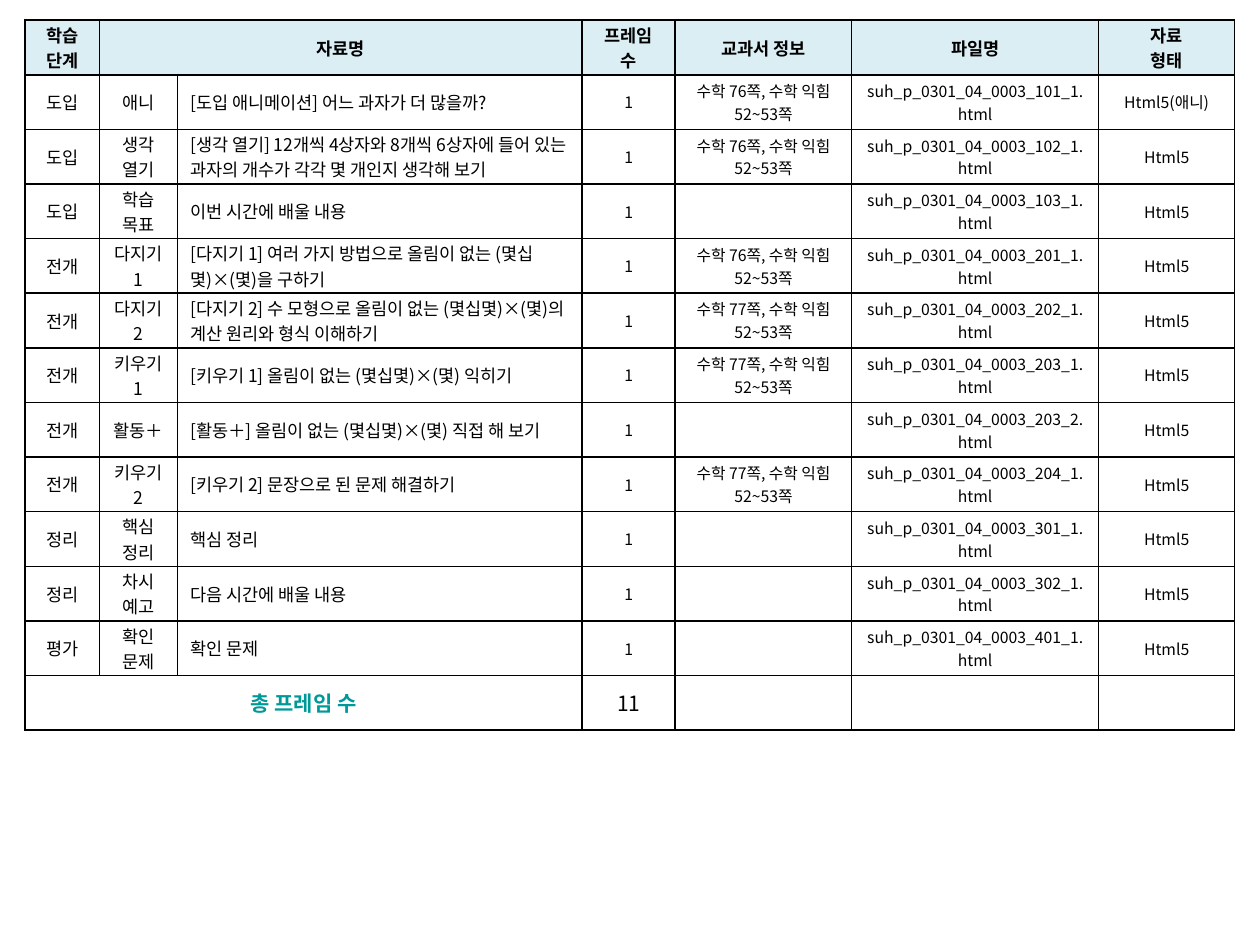
"""Build a lesson plan slide: one table of learning files with a total row."""
from dataclasses import dataclass

from lxml.etree import SubElement
from pptx import Presentation
from pptx.dml.color import RGBColor
from pptx.enum.text import MSO_ANCHOR, PP_ALIGN
from pptx.oxml.ns import qn
from pptx.util import Inches, Pt


@dataclass(frozen=True)
class Theme:
    font: str = "Noto Sans CJK KR"
    ink: str = "000000"
    head: str = "DBEEF4"
    paper: str = "FFFFFF"
    teal: str = "009999"
    small: int = 9
    body: int = 10
    total: int = 12
    line: int = 1


theme = Theme()


def add_lines(cell):
    props = cell._tc.get_or_add_tcPr()
    for side in ("a:lnL", "a:lnR", "a:lnT", "a:lnB"):
        line = SubElement(props, qn(side), w=str(Pt(theme.line)))
        fill = SubElement(line, qn("a:solidFill"))
        SubElement(fill, qn("a:srgbClr"), val=theme.ink)


def fill_cell(cell, text, size, bold, ink, back, align):
    add_lines(cell)
    cell.fill.solid()
    cell.fill.fore_color.rgb = RGBColor.from_string(back)
    cell.vertical_anchor = MSO_ANCHOR.MIDDLE
    cell.margin_left = cell.margin_right = Inches(0.1)
    cell.margin_top = cell.margin_bottom = Inches(0.01)
    cell.text = text
    for para in cell.text_frame.paragraphs:
        para.alignment = align
        para.font.size = Pt(size)
        para.font.bold = bold
        para.font.color.rgb = RGBColor.from_string(ink)
        para.font.name = theme.font
        base = para._p.pPr.find(qn("a:defRPr"))
        SubElement(base, qn("a:ea"), typeface=theme.font)


heads = ["학습 단계", "자료명", "", "프레임 수", "교과서 정보", "파일명", "자료\n형태"]
steps = [
    ("도입", "애니", "[도입 애니메이션] 어느 과자가 더 많을까?", 76, "101_1"),
    ("도입", "생각 열기",
     "[생각 열기] 12개씩 4상자와 8개씩 6상자에 들어 있는 과자의 개수가 각각 몇 개인지 생각해 보기",
     76, "102_1"),
    ("도입", "학습 목표", "이번 시간에 배울 내용", None, "103_1"),
    ("전개", "다지기 1", "[다지기 1] 여러 가지 방법으로 올림이 없는 (몇십몇)×(몇)을 구하기",
     76, "201_1"),
    ("전개", "다지기 2",
     "[다지기 2] 수 모형으로 올림이 없는 (몇십몇)×(몇)의 계산 원리와 형식 이해하기",
     77, "202_1"),
    ("전개", "키우기1", "[키우기 1] 올림이 없는 (몇십몇)×(몇) 익히기", 77, "203_1"),
    ("전개", "활동＋", "[활동＋] 올림이 없는 (몇십몇)×(몇) 직접 해 보기", None, "203_2"),
    ("전개", "키우기2", "[키우기 2] 문장으로 된 문제 해결하기", 77, "204_1"),
    ("정리", "핵심 정리", "핵심 정리", None, "301_1"),
    ("정리", "차시 예고", "다음 시간에 배울 내용", None, "302_1"),
    ("평가", "확인 문제", "확인 문제", None, "401_1"),
]
rows = [heads]
for stage, kind, title, page, code in steps:
    book = f"수학 {page}쪽, 수학 익힘 52~53쪽" if page else ""
    form = "Html5(애니)" if kind == "애니" else "Html5"
    rows.append([stage, kind, title, "1", book, f"suh_p_0301_04_0003_{code}.html", form])
rows.append(["총 프레임 수", "", "", str(len(steps)), "", "", ""])
last = len(rows) - 1

deck = Presentation()
deck.slide_width, deck.slide_height = Inches(10), Inches(7.5)
slide = deck.slides.add_slide(deck.slide_layouts[6])

widths = [0.59, 0.62, 3.21, 0.74, 1.4, 1.96, 1.08]
table = slide.shapes.add_table(
    len(rows), len(widths), Inches(0.2), Inches(0.16), Inches(9.6), Inches(5.64)
).table
table.first_row = table.horz_banding = False
for col, width in zip(table.columns, widths):
    col.width = Inches(width)

for r, row in enumerate(rows):
    for c, text in enumerate(row):
        size, bold, ink, back = theme.body, False, theme.ink, theme.paper
        align = PP_ALIGN.CENTER
        if r == 0:
            bold, back = True, theme.head
        elif r == last:
            size = theme.total
            if c == 0:
                bold, ink = True, theme.teal
        elif c == 2:
            align = PP_ALIGN.LEFT
        elif c > 2:
            size = theme.small
        fill_cell(table.cell(r, c), text, size, bold, ink, back, align)

table.cell(0, 1).merge(table.cell(0, 2))
table.cell(last, 0).merge(table.cell(last, 2))

deck.save("out.pptx")
